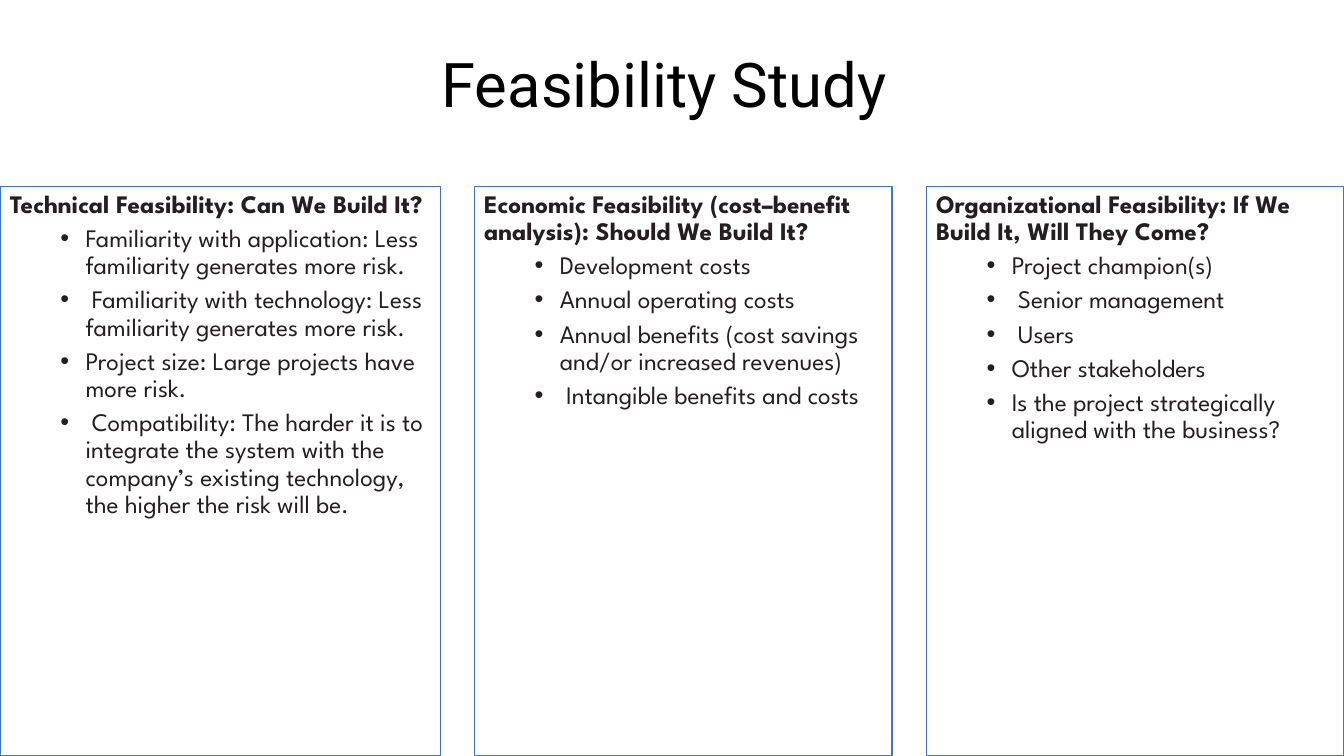
import pptx
import pptx.util
import pptx.dml.color
import pptx.enum.shapes
import pptx.enum.text
import pptx.oxml.ns
import lxml.etree

COLS, ROWS = 120, 75
GAP = 3.05
PANELS = [
    (39.3, "Technical Feasibility: Can We Build It?", [
        "Familiarity with application: Less familiarity generates more risk.",
        " Familiarity with technology: Less familiarity generates more risk.",
        "Project size: Large projects have more risk.",
        " Compatibility: The harder it is to integrate the system with the "
        "company’s existing technology, the higher the risk will be.",
    ]),
    (37.3, "Economic Feasibility (cost–benefit analysis): Should We Build It?", [
        "Development costs",
        "Annual operating costs",
        "Annual benefits (cost savings and/or increased revenues)",
        " Intangible benefits and costs",
    ]),
    (37.3, "Organizational Feasibility: If We Build It, Will They Come?", [
        "Project champion(s)",
        " Senior management",
        " Users",
        "Other stakeholders",
        "Is the project strategically aligned with the business?",
    ]),
]


def color(code):
    return pptx.dml.color.RGBColor.from_string(code)


class Deck:
    ink, edge = "231F20", "4472C4"
    face, head = "League Spartan", "Roboto"

    def __init__(self):
        self.file = pptx.Presentation()
        self.file.slide_width = pptx.util.Inches(13.33)
        self.file.slide_height = pptx.util.Inches(7.5)
        self.slide = self.file.slides.add_slide(self.file.slide_layouts[6])

    def place(self, left, top, width, height):
        col = self.file.slide_width / COLS
        row = self.file.slide_height / ROWS
        return [round(n) for n in (left * col, top * row, width * col, height * row)]

    def style(self, para, face, size, ink, bold=False):
        para.line_spacing = 0.9
        for run in para.runs:
            run.font.name = face
            run.font.size = pptx.util.Pt(size)
            run.font.bold = bold
            run.font.color.rgb = color(ink)

    def title(self, text, *area):
        frame = self.slide.shapes.add_textbox(*self.place(*area)).text_frame
        frame.word_wrap = True
        frame.vertical_anchor = pptx.enum.text.MSO_ANCHOR.MIDDLE
        frame.text = text
        para = frame.paragraphs[0]
        para.alignment = pptx.enum.text.PP_ALIGN.CENTER
        self.style(para, self.head, 44, "000000")

    def bullet(self, para):
        props = para._p.get_or_add_pPr()
        props.set("marL", str(pptx.util.Inches(0.75)))
        props.set("indent", str(pptx.util.Inches(-0.25)))
        for tag, key, value in (("a:buFont", "typeface", "Arial"), ("a:buChar", "char", "•")):
            lxml.etree.SubElement(props, pptx.oxml.ns.qn(tag)).set(key, value)
        para.level = 1
        para.space_before = pptx.util.Pt(5)

    def panel(self, head, items, *area):
        rect = pptx.enum.shapes.MSO_SHAPE.RECTANGLE
        box = self.slide.shapes.add_shape(rect, *self.place(*area))
        box.shadow.inherit = False
        box.fill.background()
        box.line.color.rgb = color(self.edge)
        box.line.width = pptx.util.Pt(0.75)
        frame = box.text_frame
        frame.word_wrap = True
        frame.vertical_anchor = pptx.enum.text.MSO_ANCHOR.TOP
        frame.text = "\n".join([head, *items])
        for spot, para in enumerate(frame.paragraphs):
            para.alignment = pptx.enum.text.PP_ALIGN.LEFT
            if spot:
                self.bullet(para)
            self.style(para, self.face, 18, self.ink, bold=spot == 0)


def main():
    deck = Deck()
    deck.title("Feasibility Study ", 8.25, 4, 103.5, 9.3)
    left = 0
    for width, head, items in PANELS:
        deck.panel(head, items, left, 18.5, width, 56.5)
        left += width + GAP
    deck.file.save("out.pptx")


if __name__ == "__main__":
    main()
